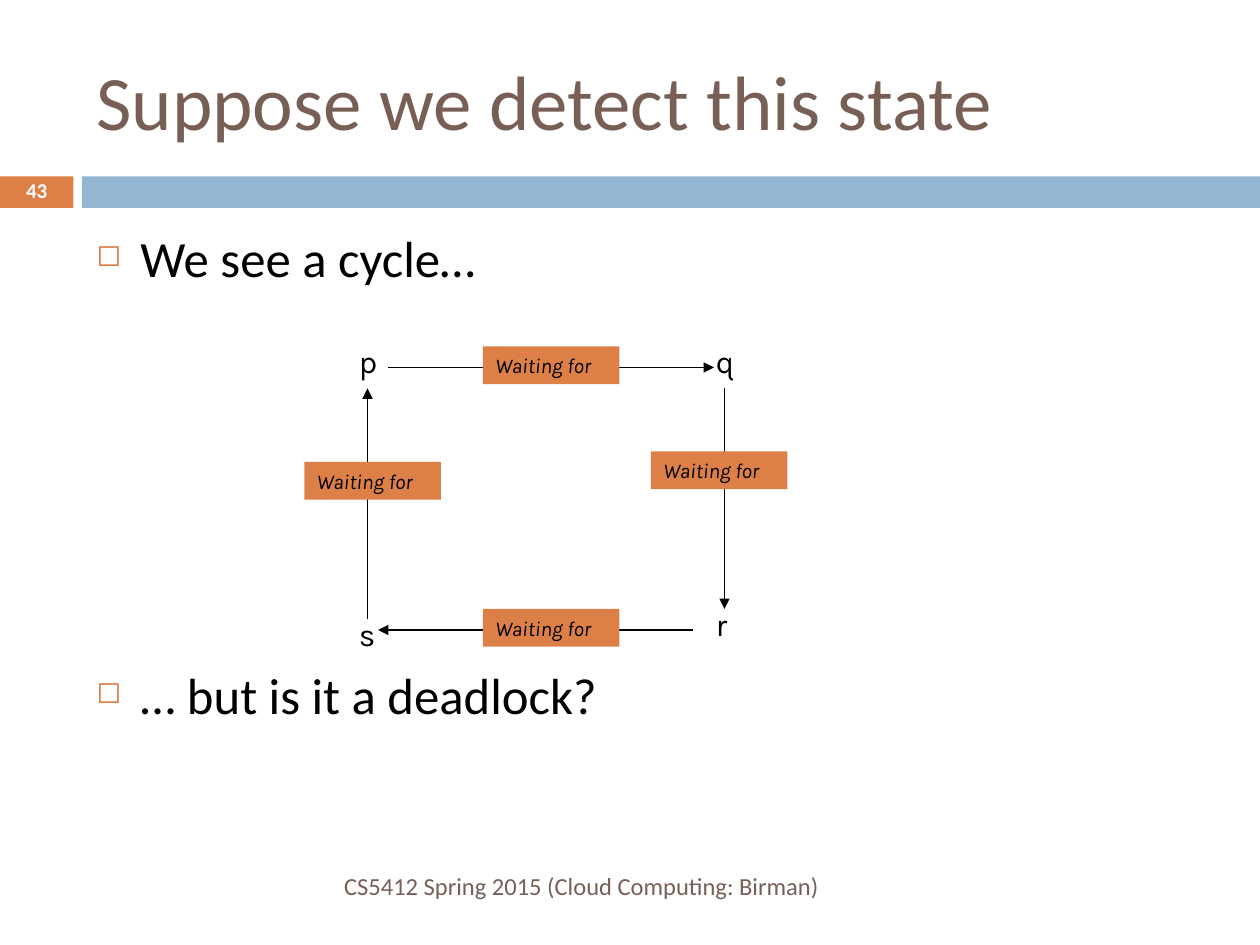
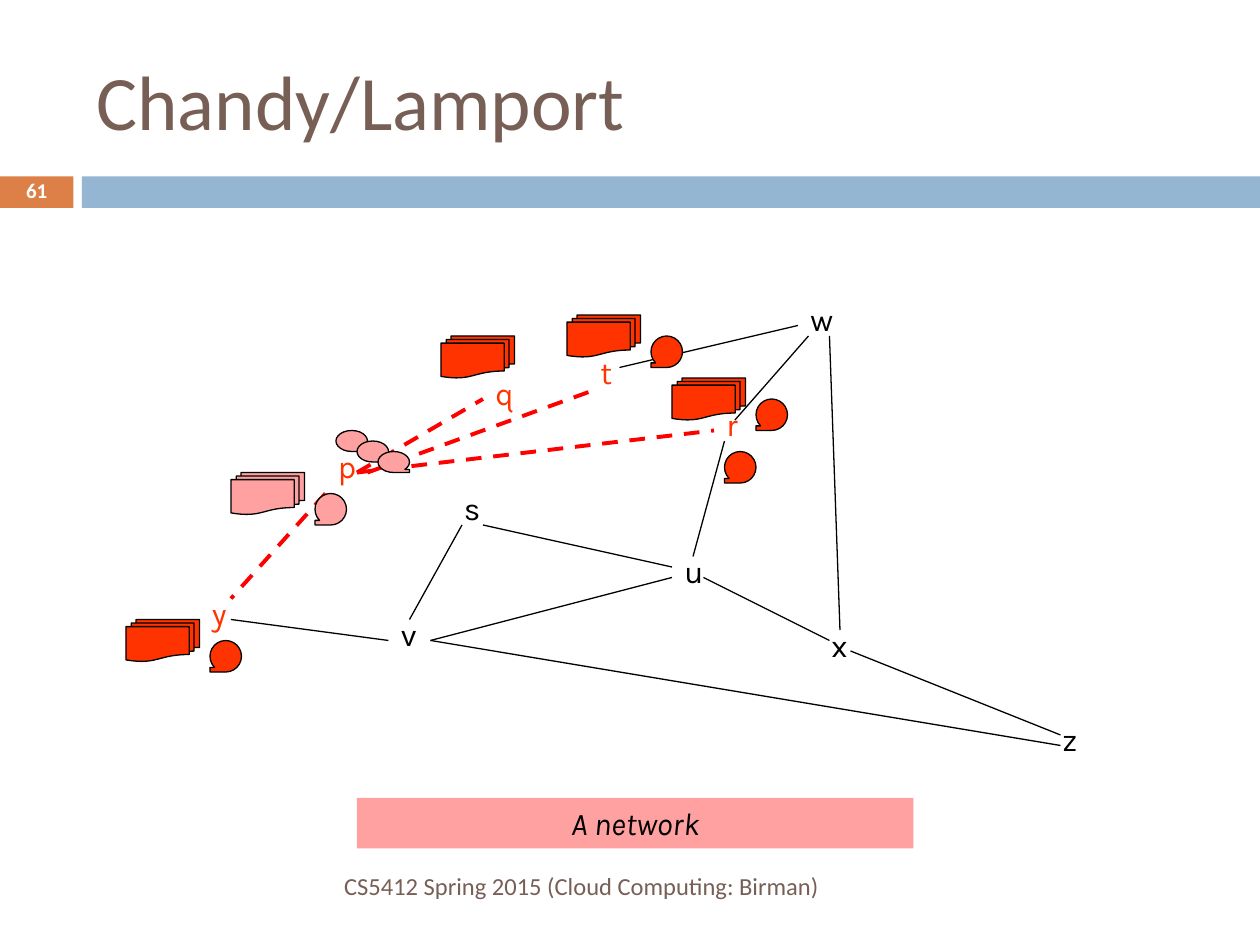
from dataclasses import dataclass

from lxml.etree import SubElement
from pptx import Presentation
from pptx.dml.color import RGBColor
from pptx.enum.dml import MSO_LINE
from pptx.enum.shapes import MSO_CONNECTOR, MSO_SHAPE
from pptx.enum.text import MSO_ANCHOR, PP_ALIGN
from pptx.oxml.ns import qn
from pptx.util import Emu, Pt


@dataclass(frozen=True)
class Theme:
    orange = RGBColor.from_string("DD8047")
    blue = RGBColor.from_string("94B6D2")
    brown = RGBColor.from_string("775F55")
    black = RGBColor.from_string("000000")
    white = RGBColor.from_string("FFFFFF")
    pink = RGBColor.from_string("FFA1A1")
    scarlet = RGBColor.from_string("FF3300")
    red = RGBColor.from_string("FF0000")
    main_font = "Calibri"
    diagram_font = "Karla"
    title_size = 44
    body_size = 29
    node_size = 18
    footer_size = 14
    small_size = 12
    thin = 0.75
    thick = 2.25


theme = Theme()
PX = 7620


def add_text(slide, frame, lines, size, color=theme.black, font=theme.diagram_font,
             fill=None, align=PP_ALIGN.LEFT, anchor=MSO_ANCHOR.TOP, bold=False, italic=False):
    place = [Emu(value * PX) for value in frame]
    if fill is None:
        shape = slide.shapes.add_textbox(*place)
    else:
        shape = slide.shapes.add_shape(MSO_SHAPE.RECTANGLE, *place)
        shape.shadow.inherit = False
        shape.fill.solid()
        shape.fill.fore_color.rgb = fill
        shape.line.fill.background()
    text_frame = shape.text_frame
    text_frame.word_wrap = True
    text_frame.vertical_anchor = anchor
    for index, line in enumerate(lines):
        paragraph = text_frame.add_paragraph() if index else text_frame.paragraphs[0]
        paragraph.alignment = align
        run = paragraph.add_run()
        run.text = line
        run.font.size = Pt(size)
        run.font.name = font
        run.font.color.rgb = color
        run.font.bold = bold
        run.font.italic = italic
    return text_frame


def add_line(slide, ends, color=theme.black, width=theme.thin, dashed=False, arrow=False):
    connector = slide.shapes.add_connector(
        MSO_CONNECTOR.STRAIGHT, *[Emu(value * PX) for value in ends])
    connector.line.color.rgb = color
    connector.line.width = Pt(width)
    if dashed:
        connector.line.dash_style = MSO_LINE.DASH
    properties = connector._element.spPr
    if arrow:
        SubElement(properties.find(qn("a:ln")), qn("a:tailEnd"), type="triangle")
    SubElement(properties, qn("a:effectLst"))


presentation = Presentation()
presentation.slide_width = Emu(1200 * PX)
presentation.slide_height = Emu(900 * PX)

slides = []
for title, number in [("Suppose we detect this state", "43"), ("Chandy/Lamport", "61")]:
    slide = presentation.slides.add_slide(presentation.slide_layouts[6])
    slides.append(slide)
    for left, width, color in [(0, 70, theme.orange), (78, 1122, theme.blue)]:
        band = slide.shapes.add_shape(
            MSO_SHAPE.RECTANGLE, left * PX, 168 * PX, width * PX, 30 * PX)
        band.shadow.inherit = False
        band.fill.solid()
        band.fill.fore_color.rgb = color
        band.line.fill.background()
    add_text(slide, (80, 30, 1070, 130), [title], theme.title_size, theme.brown,
             theme.main_font, anchor=MSO_ANCHOR.MIDDLE)
    add_text(slide, (80, 820, 712, 48), ["CS5412 Spring 2015 (Cloud Computing: Birman)"],
             theme.footer_size, theme.brown, theme.main_font,
             align=PP_ALIGN.RIGHT, anchor=MSO_ANCHOR.MIDDLE)
    number_frame = add_text(slide, (0, 167, 70, 32), [number], theme.small_size, theme.white,
                            theme.main_font, align=PP_ALIGN.CENTER,
                            anchor=MSO_ANCHOR.MIDDLE, bold=True)
    number_frame.paragraphs[0].line_spacing = 0.8

cycle_slide, network_slide = slides

body = add_text(cycle_slide, (80, 210, 1070, 590),
                ["We see a cycle…", "… but is it a deadlock?"],
                theme.body_size, font=theme.main_font)
body.paragraphs[1].space_before = Pt(215)
for paragraph in body.paragraphs:
    properties = paragraph._p.get_or_add_pPr()
    properties.set("marL", str(42 * PX))
    properties.set("indent", str(-42 * PX))
    bullet_color = SubElement(properties, qn("a:buClr"))
    SubElement(bullet_color, qn("a:srgbClr"), val=str(theme.orange))
    SubElement(properties, qn("a:buSzPct"), val="60000")
    SubElement(properties, qn("a:buChar"), char="◻")

for name, left, top in [("p", 330, 320), ("q", 670, 320), ("s", 330, 580), ("r", 670, 570)]:
    add_text(cycle_slide, (left, top, 60, 48), [name], theme.node_size)

for ends in [(370, 350, 680, 350), (690, 370, 690, 580),
             (660, 600, 360, 600), (350, 590, 350, 370)]:
    add_line(cycle_slide, ends, arrow=True)

for left, top in [(460, 330), (460, 580), (290, 440), (620, 430)]:
    add_text(cycle_slide, (left, top, 130, 36), ["Waiting for"], theme.small_size,
             fill=theme.orange, italic=True)

nodes = {
    "p": (310, 420), "q": (460, 350), "r": (680, 380), "s": (430, 460),
    "t": (560, 330), "u": (640, 520), "v": (370, 580), "w": (760, 280),
    "x": (780, 590), "y": (190, 560), "z": (1000, 680),
}
for name, (left, top) in nodes.items():
    color = theme.scarlet if name in "pqrty" else theme.black
    add_text(network_slide, (left, top, 50, 48), [name], theme.node_size, color)

for ends in [(310, 470, 220, 570), (340, 450, 680, 410),
             (340, 450, 460, 380), (350, 450, 570, 370)]:
    add_line(network_slide, ends, theme.red, theme.thick, dashed=True)

for ends in [(220, 590, 370, 610), (440, 500, 390, 590), (700, 400, 770, 320),
             (690, 420, 660, 530), (410, 610, 1010, 710), (410, 610, 640, 550),
             (590, 350, 760, 310), (790, 320, 800, 600), (670, 550, 790, 610),
             (460, 500, 640, 540), (810, 620, 1010, 700)]:
    add_line(network_slide, ends)

add_text(network_slide, (340, 760, 530, 48), ["A network"], theme.node_size,
         fill=theme.pink, align=PP_ALIGN.CENTER, italic=True)

documents = (MSO_SHAPE.FLOWCHART_MULTIDOCUMENT, 70, 40, False)
message = (MSO_SHAPE.FLOWCHART_SEQUENTIAL_ACCESS_STORAGE, 30, 20, False)
marker = (MSO_SHAPE.FLOWCHART_SEQUENTIAL_ACCESS_STORAGE, 30, 30, True)
symbols = [
    (documents, theme.pink, [(220, 450)]),
    (message, theme.pink, [(320 + 20 * step, 410 + 10 * step) for step in range(3)]),
    (marker, theme.pink, [(300, 470)]),
    (documents, theme.scarlet, [(120, 590), (420, 320), (540, 300), (640, 360)]),
    (marker, theme.scarlet, [(200, 610), (620, 320), (720, 380), (690, 430)]),
]
for (kind, width, height, flipped), color, places in symbols:
    for left, top in places:
        shape = network_slide.shapes.add_shape(
            kind, left * PX, top * PX, width * PX, height * PX)
        shape.shadow.inherit = False
        shape.fill.solid()
        shape.fill.fore_color.rgb = color
        shape.line.color.rgb = theme.black
        shape.line.width = Pt(theme.thin)
        if flipped:
            shape._element.spPr.find(qn("a:xfrm")).set("flipH", "1")

presentation.save("out.pptx")
